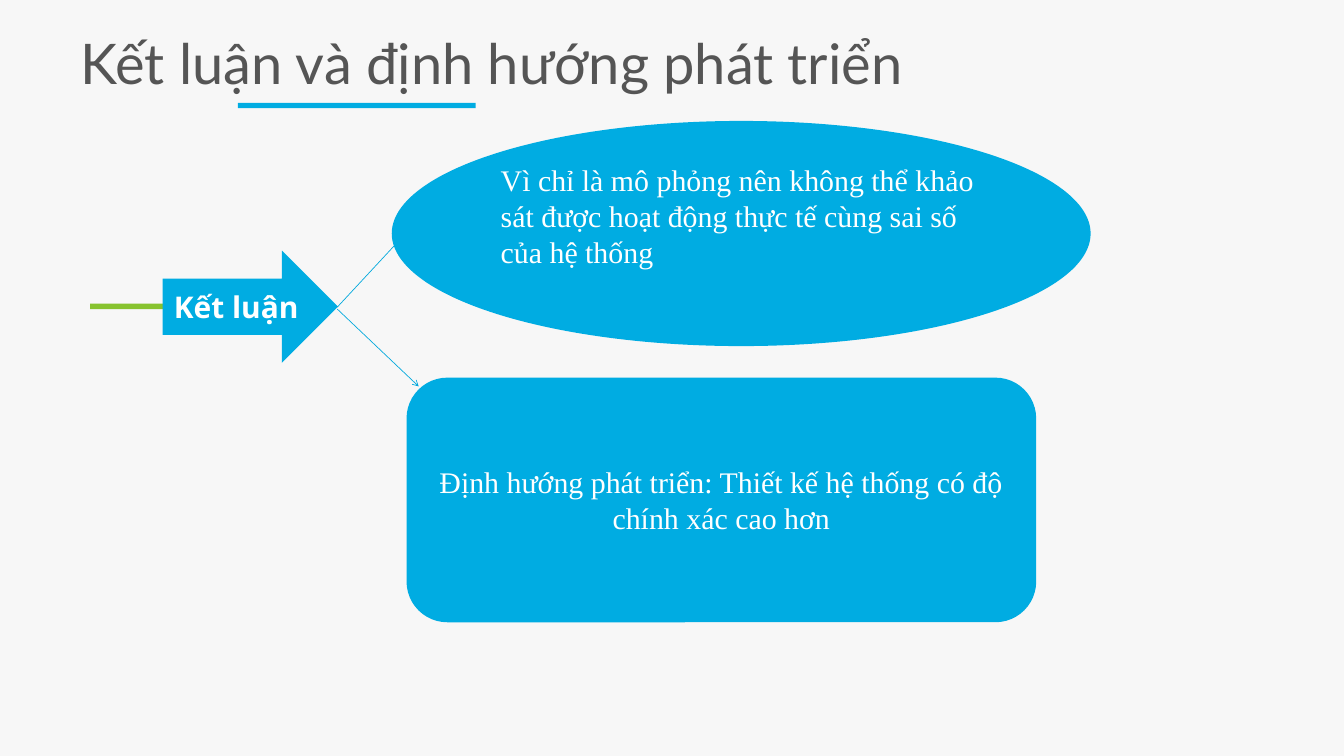
import pptx
import pptx.util
import pptx.dml.color
import pptx.enum.shapes
import pptx.enum.text
from lxml import etree

Inches, Pt = pptx.util.Inches, pptx.util.Pt
KIND = pptx.enum.shapes.MSO_SHAPE
ALIGN = pptx.enum.text.PP_ALIGN
MIDDLE = pptx.enum.text.MSO_ANCHOR.MIDDLE

BLUE, GREEN, LINE = "00ACE2", "87C32F", "00A8DD"
WHITE, GREY, PAPER = "FFFFFF", "555555", "F7F7F7"
SERIF = "Times New Roman"

TITLE = "Kết luận và định hướng phát triển"
TOPIC = "Kết luận"
LIMIT = ("Vì chỉ là mô phỏng nên không thể khảo sát được hoạt động "
         "thực tế cùng sai số của hệ thống")
PLAN = "Định hướng phát triển: Thiết kế hệ thống có độ chính xác cao hơn"

# left, top, width, height
BARS = [((1.34, 4.52, 3.54, 0.08), GREEN), ((3.54, 1.53, 3.54, 0.08), BLUE)]


def color(text):
    return pptx.dml.color.RGBColor.from_string(text)


def write(shape, text, font, size, ink, align, bold=False):
    frame = shape.text_frame
    frame.word_wrap = True
    frame.vertical_anchor = MIDDLE
    par = frame.paragraphs[0]
    par.alignment = align
    run = par.add_run()
    run.text = text
    run.font.name, run.font.size, run.font.bold = font, Pt(size), bold
    run.font.color.rgb = color(ink)
    return frame


def block(slide, kind, box, fill):
    shape = slide.shapes.add_shape(kind, *map(Inches, box))
    shape.shadow.inherit = False
    shape.fill.solid()
    shape.fill.fore_color.rgb = color(fill)
    shape.line.fill.background()
    return shape


def arrow(slide, start, end):
    line = slide.shapes.add_connector(
        pptx.enum.shapes.MSO_CONNECTOR.STRAIGHT, *map(Inches, start + end))
    line.line.color.rgb = color(LINE)
    line.line.width = Pt(0.75)
    space = "{http://schemas.openxmlformats.org/drawingml/2006/main}"
    props = line.line._get_or_add_ln()
    etree.SubElement(props, space + "tailEnd", type="arrow")
    etree.SubElement(props.getparent(), space + "effectLst")


def main():
    deck = pptx.Presentation()
    deck.slide_width, deck.slide_height = Inches(20), Inches(11.25)
    slide = deck.slides.add_slide(deck.slide_layouts[6])
    slide.background.fill.solid()
    slide.background.fill.fore_color.rgb = color(PAPER)

    for box, fill in BARS:
        block(slide, KIND.RECTANGLE, box, fill)

    title = slide.shapes.add_textbox(*map(Inches, (1.02, 0.27, 17.98, 1.32)))
    frame = write(title, TITLE, "Lato", 60, GREY, ALIGN.LEFT)
    frame.margin_left = frame.margin_right = Inches(0.18)
    frame.margin_top = frame.margin_bottom = Inches(0.09)

    topic = block(slide, KIND.RIGHT_ARROW, (2.42, 3.73, 2.61, 1.67), BLUE)
    write(topic, TOPIC, "Open Sans", 32, WHITE, ALIGN.CENTER, True)

    arrow(slide, (5.02, 4.57), (6.05, 3.46))
    limit = block(slide, KIND.OVAL, (5.83, 1.8, 10.4, 3.35), BLUE)
    frame = write(limit, LIMIT, SERIF, 32, WHITE, ALIGN.LEFT)
    frame.margin_bottom = Inches(0.58)  # lifts the text above the middle

    arrow(slide, (5.02, 4.6), (6.23, 5.75))
    plan = block(slide, KIND.ROUNDED_RECTANGLE, (6.05, 5.62, 9.37, 3.64), BLUE)
    write(plan, PLAN, SERIF, 32, WHITE, ALIGN.CENTER)

    deck.save("out.pptx")


if __name__ == "__main__":
    main()
